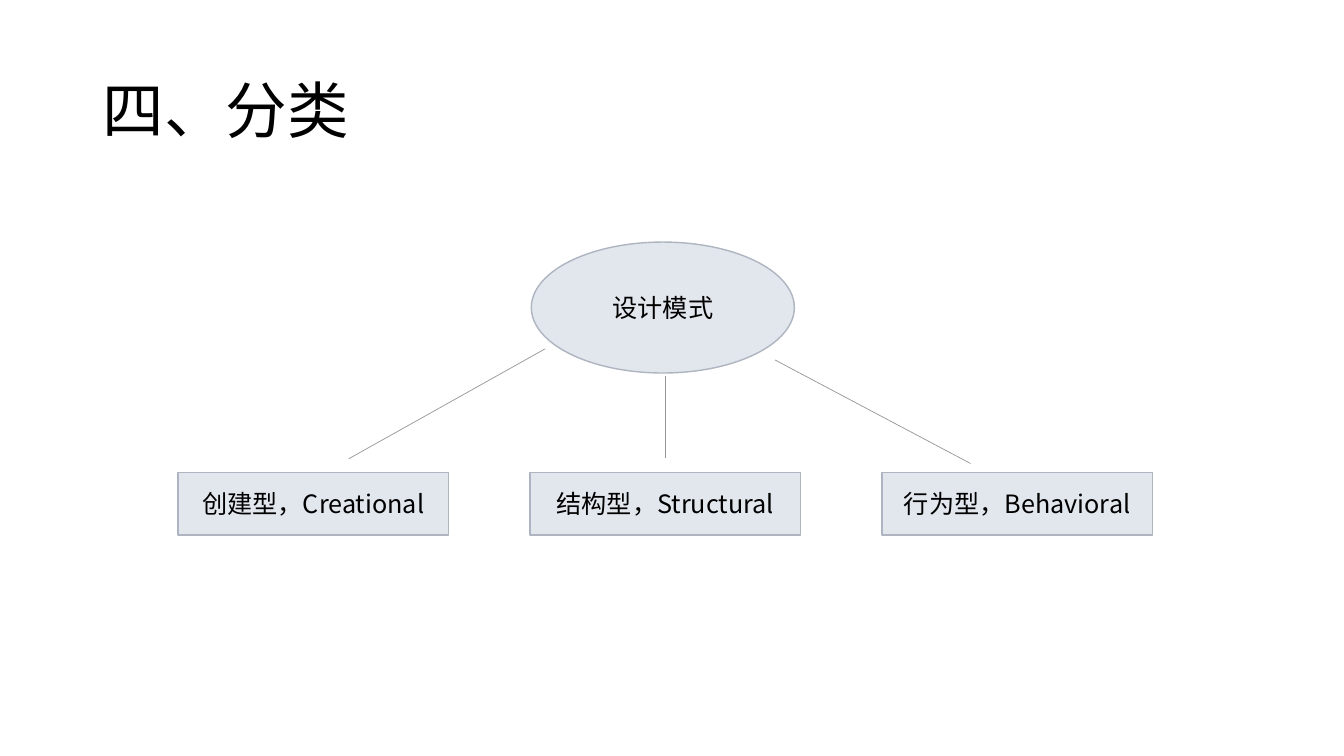
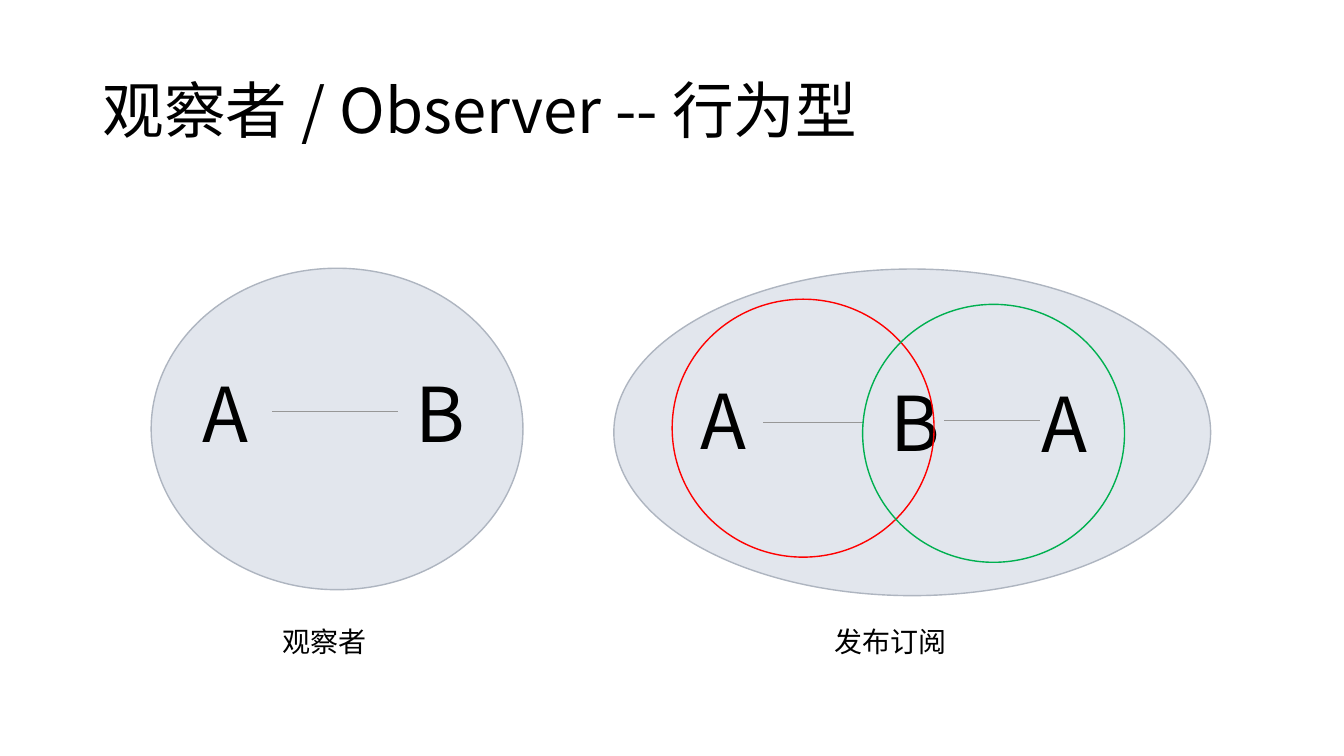
from dataclasses import dataclass
from typing import Optional

from lxml.etree import SubElement
from pptx import Presentation
from pptx.dml.color import RGBColor
from pptx.enum.shapes import MSO_CONNECTOR, MSO_SHAPE
from pptx.enum.text import MSO_ANCHOR as Anchor, PP_ALIGN as Align
from pptx.oxml.ns import qn
from pptx.util import Cm, Pt

FONT = "Noto Sans CJK SC"
COLORS = {
    "text": "000000",
    "fill": "E2E6ED",
    "outline": "AEB5C0",
    "link": "979797",
    "red": "FF0000",
    "green": "00B050",
}


@dataclass(frozen=True)
class Node:
    kind: MSO_SHAPE
    left: float
    top: float
    width: float
    height: float
    text: str = ""
    fill: Optional[str] = "fill"
    outline: str = "outline"


@dataclass(frozen=True)
class Link:
    x1: float
    y1: float
    x2: float
    y2: float


@dataclass(frozen=True)
class Label:
    text: str
    left: float
    top: float
    width: float
    height: float
    size: int


def color(name: str) -> RGBColor:
    return RGBColor.from_string(COLORS[name])


def write(text_frame, text: str, size: int) -> None:
    text_frame.text = text
    for run in text_frame.paragraphs[0].runs:
        run.font.size = Pt(size)
        run.font.name = FONT
        run.font.color.rgb = color("text")
        SubElement(run.font._element, qn("a:ea")).set("typeface", FONT)


def draw_node(slide, node: Node) -> None:
    shape = slide.shapes.add_shape(
        node.kind, Cm(node.left), Cm(node.top), Cm(node.width), Cm(node.height)
    )
    shape.shadow.inherit = False
    if node.fill:
        shape.fill.solid()
        shape.fill.fore_color.rgb = color(node.fill)
    else:
        shape.fill.background()
    shape.line.color.rgb = color(node.outline)
    shape.line.width = Pt(1)
    if node.text:
        write(shape.text_frame, node.text, 18)
        shape.text_frame.vertical_anchor = Anchor.MIDDLE
        shape.text_frame.paragraphs[0].alignment = Align.CENTER


def draw_link(slide, link: Link) -> None:
    connector = slide.shapes.add_connector(
        MSO_CONNECTOR.STRAIGHT, Cm(link.x1), Cm(link.y1), Cm(link.x2), Cm(link.y2)
    )
    connector.line.color.rgb = color("link")
    connector.line.width = Pt(0.5)
    SubElement(connector._element.spPr, qn("a:effectLst"))


def draw_label(slide, label: Label):
    box = slide.shapes.add_textbox(
        Cm(label.left), Cm(label.top), Cm(label.width), Cm(label.height)
    )
    box.text_frame.word_wrap = True
    write(box.text_frame, label.text, label.size)
    return box.text_frame


def add_titled_slide(presentation, title: str):
    slide = presentation.slides.add_slide(presentation.slide_layouts[6])
    text_frame = draw_label(slide, Label(title, 2.34, 1.02, 29.21, 3.68, 44))
    text_frame.vertical_anchor = Anchor.MIDDLE
    text_frame.paragraphs[0].line_spacing = 0.9
    return slide


def build_categories(presentation) -> None:
    slide = add_titled_slide(presentation, "四、分类")
    draw_node(slide, Node(MSO_SHAPE.OVAL, 13.39, 6.1, 6.63, 3.3, "设计模式"))
    categories = ("创建型，Creational", "结构型，Structural", "行为型，Behavioral")
    for index, category in enumerate(categories):
        left = 4.49 + 8.87 * index
        draw_node(slide, Node(MSO_SHAPE.RECTANGLE, left, 11.91, 6.81, 1.57, category))
    for link in (
        Link(13.74, 8.79, 8.79, 11.56),
        Link(16.76, 9.47, 16.76, 11.53),
        Link(19.53, 9.07, 24.46, 11.68),
    ):
        draw_link(slide, link)


def build_observer(presentation) -> None:
    slide = add_titled_slide(presentation, "观察者 / Observer -- 行为型")
    for node in (
        Node(MSO_SHAPE.OVAL, 15.47, 6.78, 15.04, 8.23),
        Node(MSO_SHAPE.OVAL, 3.81, 6.76, 9.37, 8.1),
    ):
        draw_node(slide, node)
    for letter, left, top in (
        ("A", 4.85, 9.12),
        ("B", 10.21, 9.12),
        ("A", 17.4, 9.3),
        ("B", 22.2, 9.35),
        ("A", 26.01, 9.37),
    ):
        draw_label(slide, Label(letter, left, top, 3, 2.57, 54))
    for start, end, y in (
        (6.86, 10.03, 10.36),
        (19.23, 21.74, 10.64),
        (23.8, 26.21, 10.59),
    ):
        draw_link(slide, Link(start, y, end, y))
    for caption, left in (("观察者", 6.86), ("发布订阅", 20.78)):
        draw_label(slide, Label(caption, left, 15.6, 8.61, 1.12, 20))
    for outline, left, top in (("red", 16.94, 7.54), ("green", 21.74, 7.67)):
        draw_node(
            slide,
            Node(MSO_SHAPE.OVAL, left, top, 6.6, 6.5, fill=None, outline=outline),
        )


def main() -> None:
    presentation = Presentation()
    presentation.slide_width = Cm(33.87)
    presentation.slide_height = Cm(19.05)
    build_categories(presentation)
    build_observer(presentation)
    presentation.save("out.pptx")


if __name__ == "__main__":
    main()
